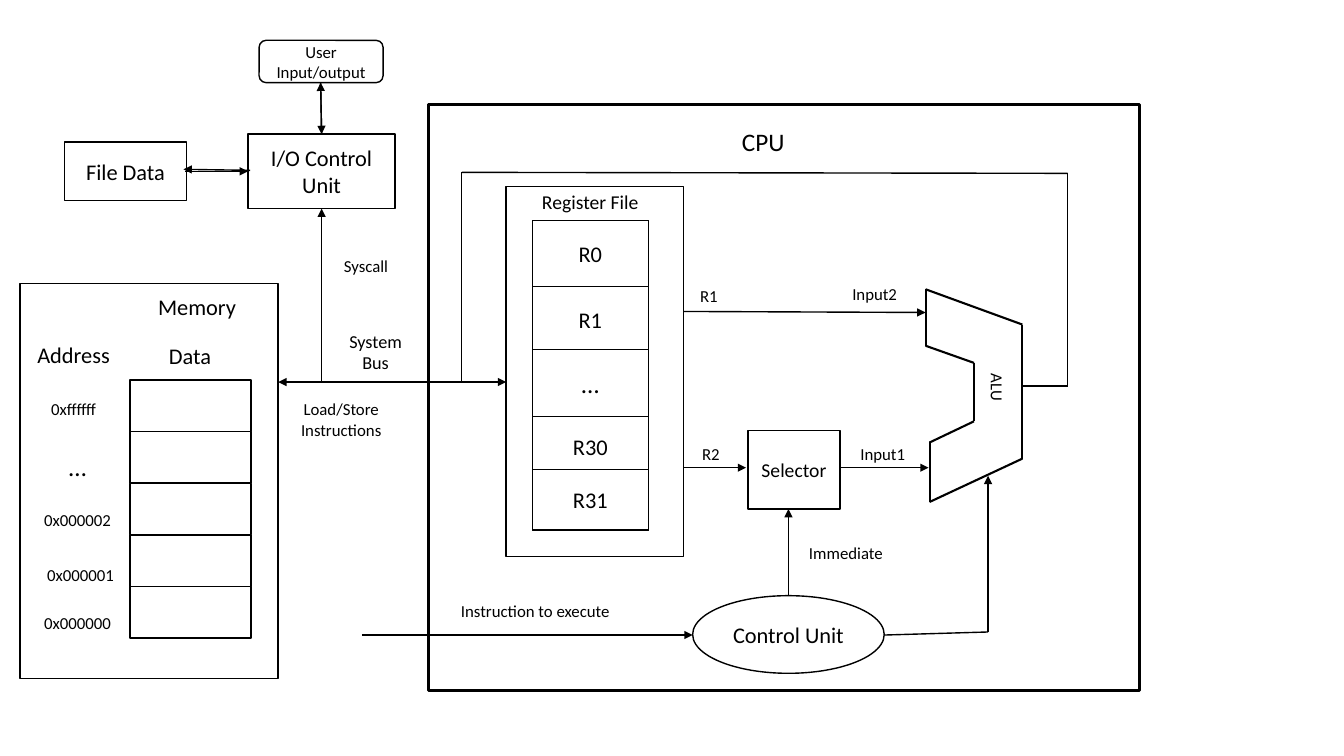
from itertools import pairwise

from lxml import etree
from pptx import Presentation
from pptx.dml.color import RGBColor
from pptx.enum.shapes import MSO_CONNECTOR, MSO_SHAPE
from pptx.enum.text import MSO_ANCHOR, PP_ALIGN
from pptx.oxml.ns import qn
from pptx.util import Inches, Pt

RECT = MSO_SHAPE.RECTANGLE
ROUND = MSO_SHAPE.ROUNDED_RECTANGLE
OVAL = MSO_SHAPE.OVAL
STRAIGHT = MSO_CONNECTOR.STRAIGHT
MIDDLE = MSO_ANCHOR.MIDDLE
CENTER = PP_ALIGN.CENTER
INK = "000000"
PAPER = "FFFFFF"


def color(code):
    return RGBColor.from_string(code)


class Diagram:
    font = "Calibri"
    inset = Inches(0.05)

    def __init__(self, slide):
        self.slide = slide

    def box(self, x, y, w, h, text="", size=16, kind=RECT, edge=INK, weight=1):
        shape = self.slide.shapes.add_shape(
            kind, Inches(x), Inches(y), Inches(w), Inches(h))
        shape.shadow.inherit = False
        shape.fill.solid()
        shape.fill.fore_color.rgb = color(PAPER)
        shape.line.color.rgb = color(edge)
        shape.line.width = Pt(weight)
        if text:
            self.words(shape.text_frame, text, size)
        return shape

    def words(self, frame, text, size):
        frame.word_wrap = True
        frame.vertical_anchor = MIDDLE
        frame.margin_left = frame.margin_right = self.inset
        frame.margin_top = frame.margin_bottom = self.inset
        for i, part in enumerate(text.split("\n")):
            para = frame.add_paragraph() if i else frame.paragraphs[0]
            para.alignment = CENTER
            run = para.add_run()
            run.text = part
            run.font.name = self.font
            run.font.size = Pt(size)
            run.font.color.rgb = color(INK)

    def label(self, x, y, w, h, text, size=12):
        return self.box(x, y, w, h, text, size, edge=PAPER)

    def wire(self, *points, weight=1):
        for start, end in pairwise(points):
            line = self.slide.shapes.add_connector(
                STRAIGHT, *(Inches(v) for v in start + end))
            line.line.color.rgb = color(INK)
            line.line.width = Pt(weight)
            etree.SubElement(line._element.spPr, qn("a:effectLst"))
        return line

    def arrow(self, *points):
        line = self.wire(*points)
        tail = etree.SubElement(
            line._element.spPr.find(qn("a:ln")), qn("a:tailEnd"))
        tail.set("type", "triangle")


def draw_cpu(art):
    art.box(4.25, 1.04, 7.05, 5.81, weight=2)
    art.wire((9.18, 2.87), (10.14, 3.22), (10.14, 4.55), (9.22, 4.98),
             (9.22, 4.39), (9.66, 4.18), (9.66, 3.6), (9.18, 3.43),
             (9.18, 2.87), weight=1.5)
    art.wire((10.14, 3.83), (10.59, 3.83), (10.59, 1.72), (4.58, 1.71))

    art.box(5.02, 1.85, 1.76, 3.67)
    art.box(5.28, 2.19, 1.15, 3.07)
    for y, h, name, size in (
            (2.19, 0.66, "R0", 16), (2.84, 0.66, "R1", 16),
            (4.1, 0.66, "R30", 16), (3.47, 0.66, "…", 18),
            (4.66, 0.6, "R31", 16)):
        art.box(5.28, y, 1.15, h, name, size)
    art.label(5.23, 1.9, 1.25, 0.21, "Register File", 14)

    art.arrow((4.58, 1.71), (4.58, 3.79), (5.02, 3.79))
    art.arrow((6.78, 3.09), (9.18, 3.1))
    art.arrow((6.78, 4.64), (7.4, 4.64))
    art.box(7.42, 4.27, 0.91, 0.78, "Selector", 14)
    art.arrow((8.33, 4.64), (9.21, 4.64))
    art.box(6.87, 5.91, 1.9, 0.77, "Control Unit", kind=OVAL)
    art.arrow((7.82, 5.91), (7.82, 5.05))
    art.arrow((8.77, 6.3), (9.8, 6.27), (9.8, 4.72))
    art.arrow((3.59, 6.3), (6.87, 6.3))


def draw_io(art):
    art.box(2.46, 1.33, 1.46, 0.74, "I/O Control Unit")
    art.box(2.57, 0.4, 1.23, 0.42, "User Input/output", 12, ROUND)
    art.arrow((3.18, 0.82), (3.19, 1.33))
    art.arrow((3.19, 1.33), (3.18, 0.82))
    art.box(0.64, 1.41, 1.21, 0.58, "File Data")
    art.arrow((2.48, 1.69), (1.82, 1.68))
    art.arrow((1.84, 1.7), (2.46, 1.7))


def draw_memory(art):
    art.box(0.2, 2.81, 2.56, 3.92)
    pitch = 2.05 / 4
    for row in reversed(range(5)):
        art.box(1.29, 3.77 + row * pitch, 1.2, 0.51)
    art.arrow((4.58, 3.79), (2.76, 3.79))
    art.label(1.29, 2.87, 1.33, 0.34, "Memory", 16)
    art.label(1.55, 3.36, 0.67, 0.34, "Data", 16)
    art.label(0.26, 3.35, 0.94, 0.34, "Address", 16)
    for x, y, text, size in (
            (0.26, 3.94, "0xffffff", 12), (0.33, 5.58, "0x000001", 12),
            (0.3, 6.06, "0x000000", 12), (0.3, 5.04, "0x000002", 12),
            (0.3, 4.51, "…", 18)):
        art.label(x, y, 0.94, 0.24, text, size)


def draw_notes(art):
    art.label(3.31, 3.32, 0.83, 0.34, "System Bus", 13)
    art.label(2.87, 3.94, 1.03, 0.44, "Load/Store\nInstructions")
    art.label(4.4, 5.93, 1.82, 0.25, "Instruction to execute")
    art.label(7.92, 5.36, 0.94, 0.24, "Immediate")
    art.label(8.43, 4.44, 0.65, 0.13, "Input1")
    art.label(8.35, 2.85, 0.65, 0.13, "Input2")
    art.label(6.86, 4.42, 0.38, 0.16, "R2")
    art.label(6.84, 2.85, 0.38, 0.16, "R1")
    art.label(9.63, 3.73, 0.53, 0.23, "ALU").rotation = 90
    art.label(6.78, 1.2, 1.58, 0.4, "CPU", 18)
    art.arrow((3.19, 3.79), (3.19, 2.07))
    art.label(3.22, 2.51, 0.82, 0.25, "Syscall")


def main():
    deck = Presentation()
    deck.slide_width = Inches(13.33)
    deck.slide_height = Inches(7.5)
    art = Diagram(deck.slides.add_slide(deck.slide_layouts[6]))
    draw_cpu(art)
    draw_io(art)
    draw_memory(art)
    draw_notes(art)
    deck.save("out.pptx")


if __name__ == "__main__":
    main()
